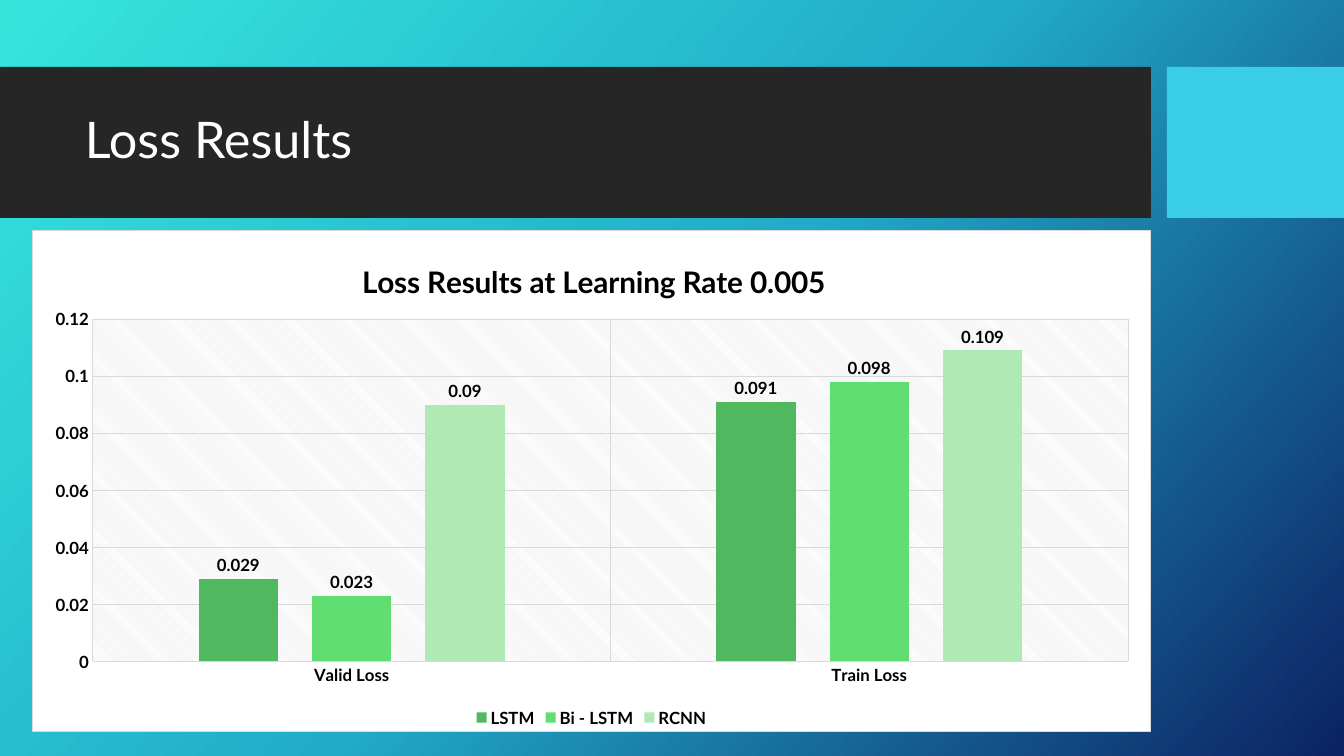
from copy import deepcopy

from pptx import Presentation
from pptx.chart.data import CategoryChartData
from pptx.dml.color import RGBColor
from pptx.enum.chart import XL_CHART_TYPE, XL_LABEL_POSITION, XL_LEGEND_POSITION, XL_TICK_MARK
from pptx.enum.shapes import MSO_SHAPE
from pptx.enum.text import MSO_ANCHOR
from pptx.oxml import parse_xml
from pptx.oxml.ns import nsdecls, qn
from pptx.util import Pt

WIDTH, HEIGHT = 1344, 756
SCALE = 12192000 / WIDTH
BLACK, WHITE, GRID = "000000", "FFFFFF", "D9D9D9"
PATTERN = f"""<a:pattFill prst="ltDnDiag"><a:fgClr><a:srgbClr val="{GRID}"/></a:fgClr>
<a:bgClr><a:srgbClr val="{WHITE}"/></a:bgClr></a:pattFill>"""
CHART_AREA = f"""<a:solidFill><a:srgbClr val="{WHITE}"/></a:solidFill>
<a:ln w="9525"><a:solidFill><a:srgbClr val="{GRID}"/></a:solidFill></a:ln>"""


def emu(pixels):
    return round(pixels * SCALE)


def color(value):
    return RGBColor.from_string(value)


def apply(target, values):
    for name, value in values.items():
        setattr(target, name, value)


def chart_format(content):
    return parse_xml(f'<c:spPr {nsdecls("c", "a")}>{content}</c:spPr>')


def place(parent, index, target, **fractions):
    for layout in parent.findall(qn("c:layout")):
        parent.remove(layout)
    inner = f'<c:layoutTarget val="{target}"/>' if target else ""
    modes = "".join(f'<c:{axis}Mode val="edge"/>' for axis in "xy")
    sizes = "".join(f'<c:{name} val="{value}"/>' for name, value in fractions.items())
    parent.insert(index, parse_xml(
        f'<c:layout {nsdecls("c")}><c:manualLayout>{inner}{modes}{sizes}</c:manualLayout></c:layout>'))


class SlideBuilder:
    """Hold the style and the current slide, and add each kind of element."""

    font_name = "Lato"

    def __init__(self, page):
        self.page = page

    def style(self, font, size, shade, bold):
        apply(font, {"name": self.font_name, "size": Pt(size), "bold": bold})
        font.color.rgb = color(shade)

    def line(self, line):
        line.color.rgb = color(GRID)
        line.width = Pt(0.75)

    def background(self, stops, angle):
        fill = self.page.background.fill
        fill.gradient()
        fill.gradient_angle = 360 - angle
        stop_list = self.page.element.find(".//" + qn("a:gsLst"))
        stop_list.insert(1, deepcopy(stop_list[0]))
        for stop, (position, shade) in zip(fill.gradient_stops, stops):
            stop.position = position
            stop.color.rgb = color(shade)

    def rectangle(self, left, top, width, height, shade):
        box = self.page.shapes.add_shape(MSO_SHAPE.RECTANGLE, *map(emu, (left, top, width, height)))
        box.shadow.inherit = False
        box.fill.solid()
        box.fill.fore_color.rgb = color(shade)
        box.line.fill.background()

    def text(self, left, top, width, height, words, size, shade):
        box = self.page.shapes.add_textbox(*map(emu, (left, top, width, height)))
        apply(box.text_frame, {"word_wrap": True, "vertical_anchor": MSO_ANCHOR.MIDDLE})
        para = box.text_frame.paragraphs[0]
        para.line_spacing = 0.9
        span = para.add_run()
        span.text = words
        self.style(span.font, size, shade, False)

    def column_chart(self, left, top, width, height, title, categories, series):
        data = CategoryChartData()
        data.categories = categories
        for name, values, shade in series:
            data.add_series(name, values)
        frame = self.page.shapes.add_chart(
            XL_CHART_TYPE.COLUMN_CLUSTERED, *map(emu, (left, top, width, height)), data)
        chart = frame.chart
        self.style(chart.font, 10, BLACK, True)

        chart.has_title = True
        span = chart.chart_title.text_frame.paragraphs[0].add_run()
        span.text = title
        self.style(span.font, 21.3, BLACK, True)
        place(chart.chart_title.text_frame._txBody.getparent().getparent(), 1, None, x=0.29, y=0.05)

        chart.has_legend = True
        apply(chart.legend, {"position": XL_LEGEND_POSITION.BOTTOM, "include_in_layout": False})
        self.style(chart.legend.font, 12, BLACK, True)

        for axis in (chart.category_axis, chart.value_axis):
            apply(axis, {"has_major_gridlines": True, "major_tick_mark": XL_TICK_MARK.NONE,
                         "minor_tick_mark": XL_TICK_MARK.NONE})
            self.style(axis.tick_labels.font, 12, BLACK, True)
            self.line(axis.major_gridlines.format.line)
        self.line(chart.category_axis.format.line)
        chart.value_axis.format.line.fill.background()
        apply(chart.value_axis, {"minimum_scale": 0, "maximum_scale": 0.12, "major_unit": 0.02})

        plot = chart.plots[0]
        apply(plot, {"gap_width": 267, "overlap": -43, "vary_by_categories": False,
                     "has_data_labels": True})
        apply(plot.data_labels, {"show_value": True, "position": XL_LABEL_POSITION.OUTSIDE_END})
        self.style(plot.data_labels.font, 12, BLACK, True)
        for column, (name, values, shade) in zip(plot.series, series):
            column.format.fill.solid()
            column.format.fill.fore_color.rgb = color(shade)

        root = chart.element
        area = root.find(".//" + qn("c:plotArea"))
        place(area, 0, "inner", x=round(60 / width, 3), y=round(89 / height, 3),
              w=round(1036 / width, 3), h=round(343 / height, 3))
        area.append(chart_format(PATTERN))
        root.find(qn("c:txPr")).addprevious(chart_format(CHART_AREA))


deck = Presentation()
apply(deck, {"slide_width": emu(WIDTH), "slide_height": emu(HEIGHT)})
slide = SlideBuilder(deck.slides.add_slide(deck.slide_layouts[6]))
slide.background([(0, "36E6DD"), (0.5, "21ABC8"), (1, "0C2263")], 42)
slide.rectangle(0, 67, 1151, 151, "262626")
slide.rectangle(1167, 67, 177, 151, "39CDE7")
slide.text(75, 83, 1059, 119, "Loss Results", 36, WHITE)
slide.column_chart(
    32, 230, 1119, 502, "Loss Results at Learning Rate 0.005", ["Valid Loss", "Train Loss"],
    [("LSTM", (0.029, 0.091), "50B85F"),
     ("Bi - LSTM", (0.023, 0.098), "60DE72"),
     ("RCNN", (0.09, 0.109), "AFEAB5")])
deck.save("out.pptx")
